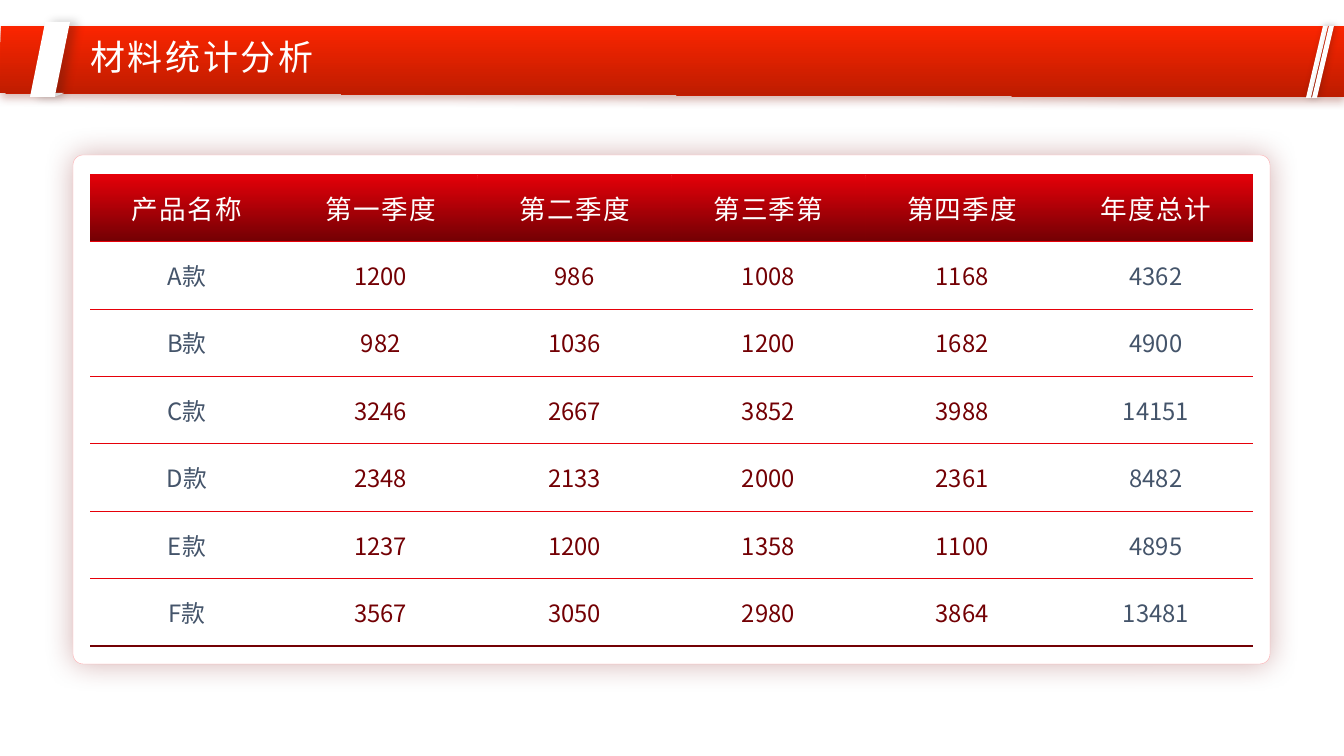
import collections

import lxml.etree
import pptx
import pptx.dml.color
import pptx.enum.shapes
import pptx.enum.text
import pptx.oxml.ns
import pptx.util

RGB = pptx.dml.color.RGBColor
WHITE = RGB(0xFF, 0xFF, 0xFF)
BANNER_TOP = RGB(0xFB, 0x25, 0x00)
BANNER_BOTTOM = RGB(0xBC, 0x1C, 0x00)
BANNER_SHADOW = RGB(0x7E, 0x13, 0x00)
INK_SHADOW = RGB(0x18, 0x17, 0x17)
RED = RGB(0xE6, 0x00, 0x09)
DARK_RED = RGB(0x73, 0x00, 0x04)
PINK = RGB(0xFF, 0xAB, 0xAE)
SLATE = RGB(0x44, 0x54, 0x6A)
FONT = "Noto Sans CJK SC"
PLAIN_TABLE_STYLE = "{2D5ABB26-0587-4C30-8999-92F81FD0307C}"
EMU_PER_PX = 914400 / 100.8

Box = collections.namedtuple("Box", "left top width height")

HEADINGS = ["产品名称", "第一季度", "第二季度", "第三季第", "第四季度", "年度总计"]
PRODUCTS = [
    ["A款", 1200, 986, 1008, 1168, 4362],
    ["B款", 982, 1036, 1200, 1682, 4900],
    ["C款", 3246, 2667, 3852, 3988, 14151],
    ["D款", 2348, 2133, 2000, 2361, 8482],
    ["E款", 1237, 1200, 1358, 1100, 4895],
    ["F款", 3567, 3050, 2980, 3864, 13481],
]


def px(length):
    return pptx.util.Emu(round(length * EMU_PER_PX))


def place(box):
    return [px(length) for length in box]


def add_element(parent, name, **attributes):
    element = lxml.etree.SubElement(parent, pptx.oxml.ns.qn(name))
    for key, value in attributes.items():
        element.set(key, str(value))
    return element


def add_shadow(shape, color, alpha, blur, distance, angle):
    effects = shape._element.spPr.find(pptx.oxml.ns.qn("a:effectLst"))
    shadow = add_element(effects, "a:outerShdw", blurRad=pptx.util.Pt(blur),
                         dist=pptx.util.Pt(distance), dir=angle * 60000,
                         algn="ctr", rotWithShape=0)
    tone = add_element(shadow, "a:srgbClr", val=color)
    add_element(tone, "a:alpha", val=alpha * 1000)


def fill_white(shape):
    shape.shadow.inherit = False
    shape.fill.solid()
    shape.fill.fore_color.rgb = WHITE
    shape.line.fill.background()
    return shape


def fill_down(fill, top, bottom):
    fill.gradient()
    fill.gradient_angle = 270
    for stop, color in zip(fill.gradient_stops, (top, bottom)):
        stop.color.rgb = color


def add_outline(page, box, points):
    corners = [(px(box.left + x), px(box.top + y)) for x, y in points]
    builder = page.shapes.build_freeform(*corners[0], scale=1.0)
    builder.add_line_segments(corners[1:], close=True)
    return fill_white(builder.convert_to_shape())


def format_span(span, size, color, spacing=0):
    span.font.size = pptx.util.Pt(size)
    span.font.color.rgb = color
    span.font.name = FONT
    properties = span.font._element
    properties.set("spc", str(spacing * 100))
    add_element(properties, "a:ea", typeface=FONT)


def add_banner(page, box):
    right, bottom = box.width, box.height
    band = add_outline(page, box, [(1, 0), (right, 0), (right, bottom), (0, bottom - 4)])
    fill_down(band.fill, BANNER_TOP, BANNER_BOTTOM)
    add_shadow(band, BANNER_SHADOW, 31, 6, 3, 90)

    add_outline(page, box, [(55, 67), (54, 71), (64, 67)])
    add_outline(page, box, [(69, 0), (71, -4), (78, 0)])
    tab_box = Box(box.left + 30, box.top - 4, 40, 75)
    tab = fill_white(page.shapes.add_shape(
        pptx.enum.shapes.MSO_SHAPE.PARALLELOGRAM, *place(tab_box)))
    tab.adjustments[0] = 0.38
    add_shadow(tab, INK_SHADOW, 25, 7, 5, 0)

    for offset in (0, 6):
        start = right - 38 + offset
        stripe = add_outline(page, box, [(start + 17, 0), (start + 22, 0),
                                         (start + 5, 72), (start, 72)])
        add_shadow(stripe, INK_SHADOW, 25, 5, 1, 0)


def set_title(page, box, text):
    title = page.shapes.title
    title.left, title.top, title.width, title.height = place(box)
    page.shapes._spTree.append(title._element)
    frame = title.text_frame
    frame.text = text
    frame.margin_left = frame.margin_right = frame.margin_top = frame.margin_bottom = 0
    frame.vertical_anchor = pptx.enum.text.MSO_ANCHOR.TOP
    frame.auto_size = pptx.enum.text.MSO_AUTO_SIZE.SHAPE_TO_FIT_TEXT
    para = frame.paragraphs[0]
    para.alignment = pptx.enum.text.PP_ALIGN.LEFT
    para.line_spacing = 0.9
    para.space_before = pptx.util.Pt(0)
    format_span(para.runs[0], 25, WHITE, spacing=2)


def add_panel(page, box):
    panel = fill_white(page.shapes.add_shape(
        pptx.enum.shapes.MSO_SHAPE.ROUNDED_RECTANGLE, *place(box)))
    panel.adjustments[0] = 0.02
    panel.line.color.rgb = PINK
    panel.line.width = pptx.util.Pt(0.25)
    add_shadow(panel, DARK_RED, 30, 21, 0, 67)


def add_border(cell, side, color, width):
    line = add_element(cell._tc.get_or_add_tcPr(), side, w=pptx.util.Pt(width))
    add_element(add_element(line, "a:solidFill"), "a:srgbClr", val=color)


def add_sales_table(page, box):
    rows = [HEADINGS] + PRODUCTS
    last_row, last_column = len(rows) - 1, len(HEADINGS) - 1
    table = page.shapes.add_table(len(rows), len(HEADINGS), *place(box)).table
    table.horz_banding = False
    table._tbl.tblPr.find(pptx.oxml.ns.qn("a:tableStyleId")).text = PLAIN_TABLE_STYLE
    for column in table.columns:
        column.width = px(box.width / len(HEADINGS))
    for row_index, values in enumerate(rows):
        table.rows[row_index].height = px(box.height / len(rows))
        for column_index, value in enumerate(values):
            cell = table.cell(row_index, column_index)
            cell.text_frame.text = str(value)
            cell.vertical_anchor = pptx.enum.text.MSO_ANCHOR.MIDDLE
            para = cell.text_frame.paragraphs[0]
            para.alignment = pptx.enum.text.PP_ALIGN.CENTER
            add_border(cell, "a:lnT", RED, 0.5)
            if row_index == last_row:
                add_border(cell, "a:lnB", DARK_RED, 1)
            else:
                add_border(cell, "a:lnB", RED, 0.5)
            if row_index == 0:
                fill_down(cell.fill, RED, DARK_RED)
                format_span(para.runs[0], 19, WHITE, spacing=1)
            else:
                cell.fill.background()
                color = SLATE if column_index in (0, last_column) else DARK_RED
                format_span(para.runs[0], 17, color)


def main():
    deck = pptx.Presentation()
    deck.slide_width, deck.slide_height = px(1344), px(756)
    page = deck.slides.add_slide(deck.slide_layouts[5])
    add_banner(page, Box(0, 26, 1344, 71))
    add_panel(page, Box(73, 155, 1197, 509))
    set_title(page, Box(90, 40, 829, 39), "材料统计分析")
    add_sales_table(page, Box(90, 174, 1163, 472))
    deck.save("out.pptx")


if __name__ == "__main__":
    main()
